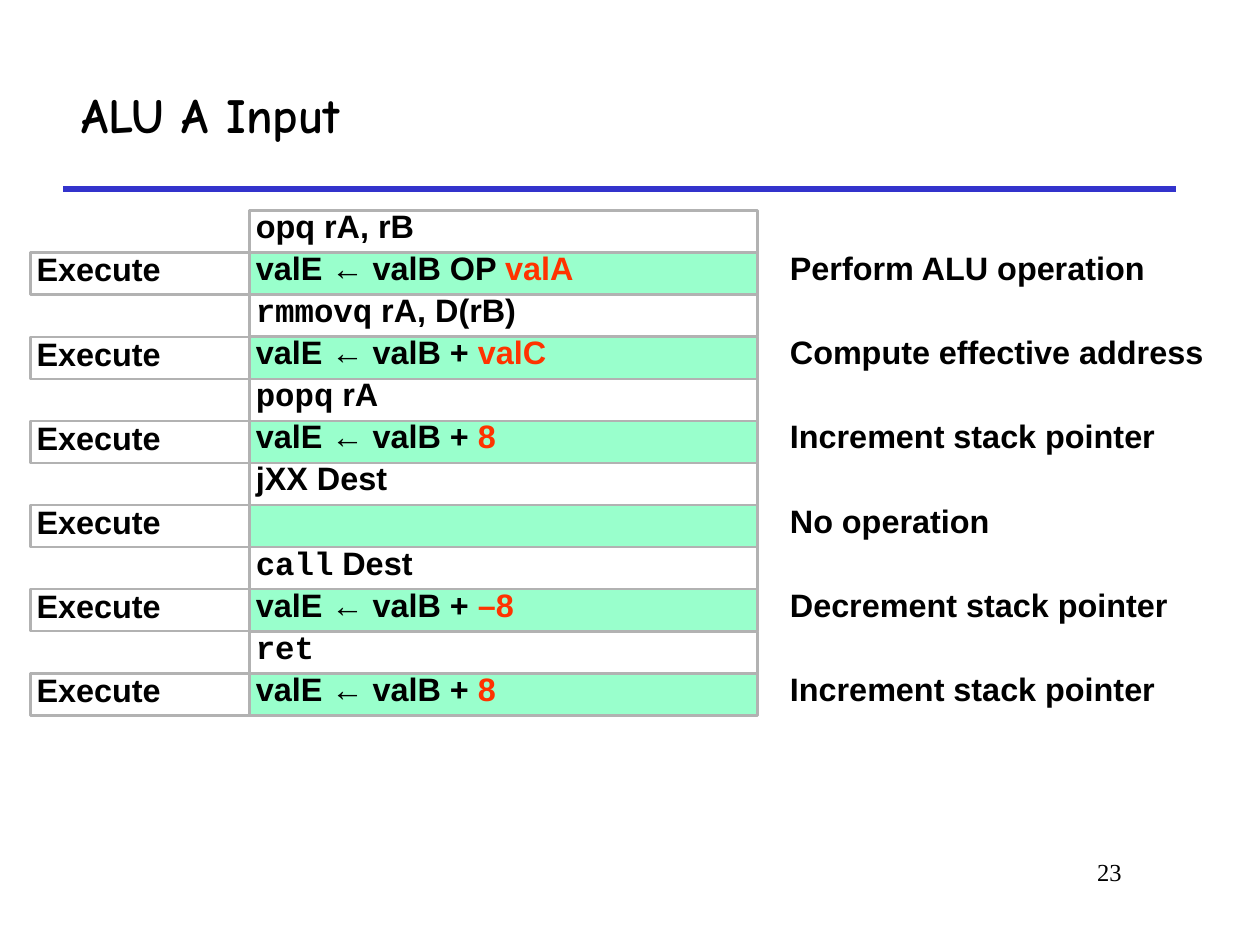
"""Build the slide that lists the ALU A input of each instruction."""
from dataclasses import dataclass
from typing import Any, Optional

from lxml import etree
from pptx import Presentation
from pptx.dml.color import RGBColor
from pptx.enum.shapes import MSO_CONNECTOR, MSO_SHAPE
from pptx.enum.text import MSO_ANCHOR, PP_ALIGN
from pptx.oxml.ns import qn
from pptx.util import Pt

RECT = MSO_SHAPE.RECTANGLE
STRAIGHT = MSO_CONNECTOR.STRAIGHT
TOP, MIDDLE = MSO_ANCHOR.TOP, MSO_ANCHOR.MIDDLE
LEFT, RIGHT = PP_ALIGN.LEFT, PP_ALIGN.RIGHT
BLACK, RED, GREEN = "000000", "FF3300", "99FFCC"
GREY, BLUE = "B2B2B2", "3333CC"
SANS, MONO = "Arial", "Courier New"
ROW_TOP, ROW_H = 120.4, 24.03
NAME_X, NAME_W = 17.3, 125.3
CODE_X, CODE_W = 142.6, 290.2
NOTE_X, NOTE_W = 447.8, 272.2


@dataclass(frozen=True)
class Run:
    text: str
    color: str = BLACK
    font: str = SANS
    size: float = 18.5
    bold: bool = True


@dataclass(frozen=True)
class Box:
    left: float
    top: float
    width: float
    height: float


@dataclass(frozen=True)
class Step:
    code: list[Run]
    work: list[Run]
    note: str


STEPS = [
    Step([Run("opq rA, rB")],
         [Run("valE ← valB OP "), Run("valA", RED)],
         "Perform ALU operation"),
    Step([Run("rmmovq", font=MONO), Run(" rA, D(rB)")],
         [Run("valE ← valB + "), Run("valC", RED)],
         "Compute effective address"),
    Step([Run("popq", font=MONO), Run(" rA")],
         [Run("valE ← valB + "), Run("8", RED)],
         "Increment stack pointer"),
    Step([Run("jXX Dest")], [], "No operation"),
    Step([Run("call", font=MONO), Run(" Dest")],
         [Run("valE ← valB + "), Run("–8", RED)],
         "Decrement stack pointer"),
    Step([Run("ret", font=MONO)],
         [Run("valE ← valB + "), Run("8", RED)],
         "Increment stack pointer"),
]


def paint(target: Any, color: str) -> None:
    target.rgb = RGBColor.from_string(color)


def place(box: Box) -> list[Pt]:
    return [Pt(n) for n in (box.left, box.top, box.width, box.height)]


def write(shape: Any, runs: list[Run], anchor: Any = TOP, align: Any = LEFT,
          inset: tuple[float, float] = (3.6, 3.6), pitch: float = 0.7) -> None:
    frame = shape.text_frame
    frame.word_wrap = True
    frame.vertical_anchor = anchor
    frame.margin_left = frame.margin_right = Pt(inset[0])
    frame.margin_top = frame.margin_bottom = Pt(inset[1])
    para = frame.paragraphs[0]
    para.alignment = align
    para.line_spacing = pitch
    for item in runs:
        run = para.add_run()
        run.text = item.text
        run.font.name = item.font
        run.font.size = Pt(item.size)
        run.font.bold = item.bold
        paint(run.font.color, item.color)


def add_cell(slide: Any, box: Box, runs: list[Run],
             fill: Optional[str] = None, anchor: Any = TOP) -> None:
    cell = slide.shapes.add_shape(RECT, *place(box))
    cell.shadow.inherit = False
    if fill:
        cell.fill.solid()
        paint(cell.fill.fore_color, fill)
    else:
        cell.fill.background()
    paint(cell.line.color, GREY)
    cell.line.width = Pt(1.5)
    write(cell, runs, anchor)


def add_text(slide: Any, box: Box, runs: list[Run], **style: Any) -> None:
    write(slide.shapes.add_textbox(*place(box)), runs, **style)


def add_rule(slide: Any) -> None:
    rule = slide.shapes.add_connector(
        STRAIGHT, Pt(36), Pt(108), Pt(672), Pt(108))
    paint(rule.line.color, BLUE)
    rule.line.width = Pt(3)
    etree.SubElement(rule._element.spPr, qn("a:effectLst"))


def add_step(slide: Any, index: int, step: Step) -> None:
    top = ROW_TOP + 2 * index * ROW_H
    low = top + ROW_H
    add_cell(slide, Box(CODE_X, top, CODE_W, ROW_H), step.code)
    add_cell(slide, Box(NAME_X, low, NAME_W, ROW_H), [Run("Execute")],
             anchor=MIDDLE)
    add_cell(slide, Box(CODE_X, low, CODE_W, ROW_H), step.work, GREEN)
    add_text(slide, Box(NOTE_X, low, NOTE_W, ROW_H), [Run(step.note)])


def main() -> None:
    deck = Presentation()
    deck.slide_width, deck.slide_height = Pt(720), Pt(540)
    slide = deck.slides.add_slide(deck.slide_layouts[6])
    add_rule(slide)
    add_text(slide, Box(39.6, 34.6, 632.2, 61.2),
             [Run("ALU A Input", font="Comic Neue", size=28)],
             anchor=MIDDLE, inset=(7.2, 3.6), pitch=1.0)
    for index, step in enumerate(STEPS):
        add_step(slide, index, step)
    add_text(slide, Box(545.8, 486, 102.2, 36),
             [Run("23", font="Times New Roman", size=14, bold=False)],
             align=RIGHT, inset=(7.2, 3.6), pitch=1.0)
    deck.save("out.pptx")


if __name__ == "__main__":
    main()
